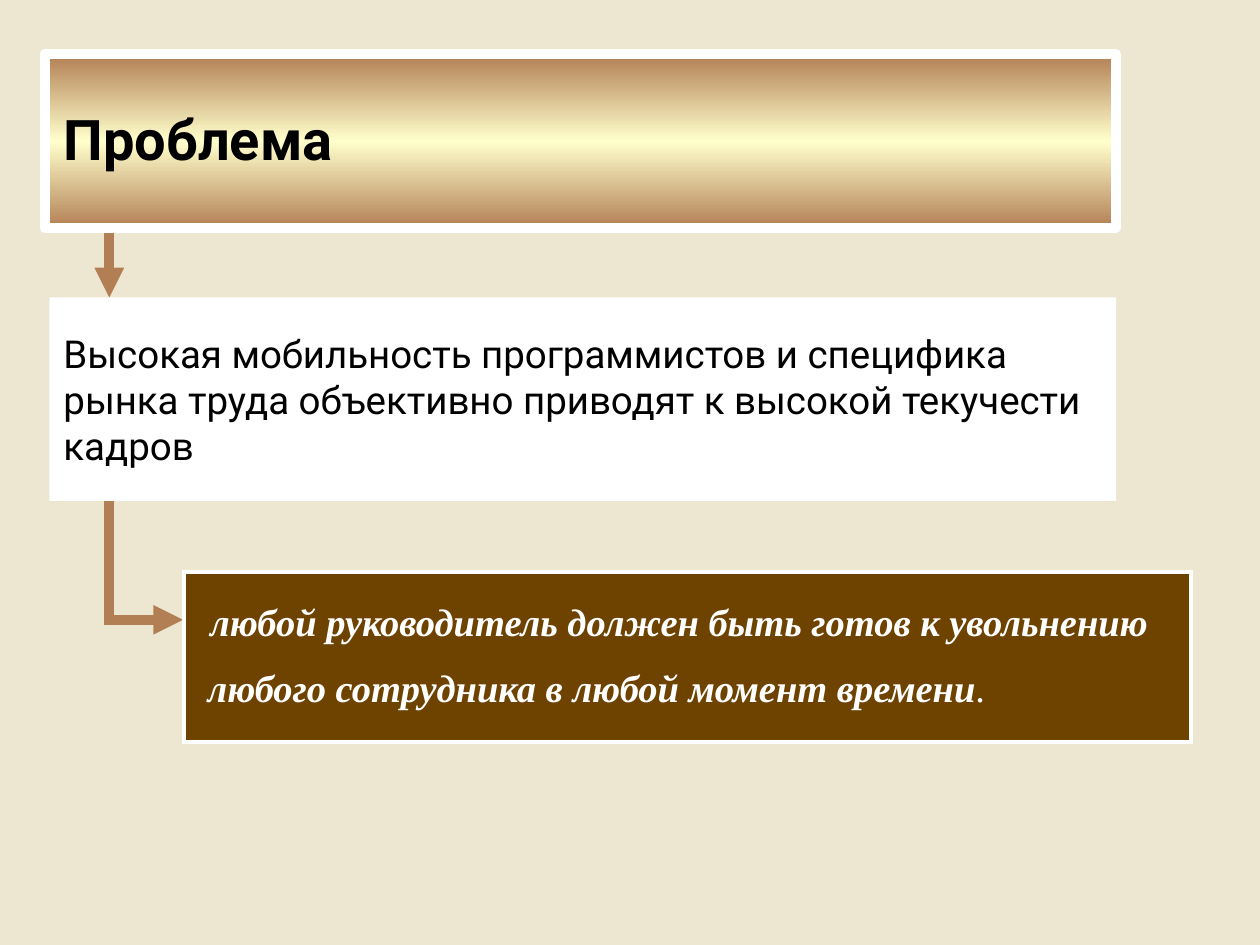
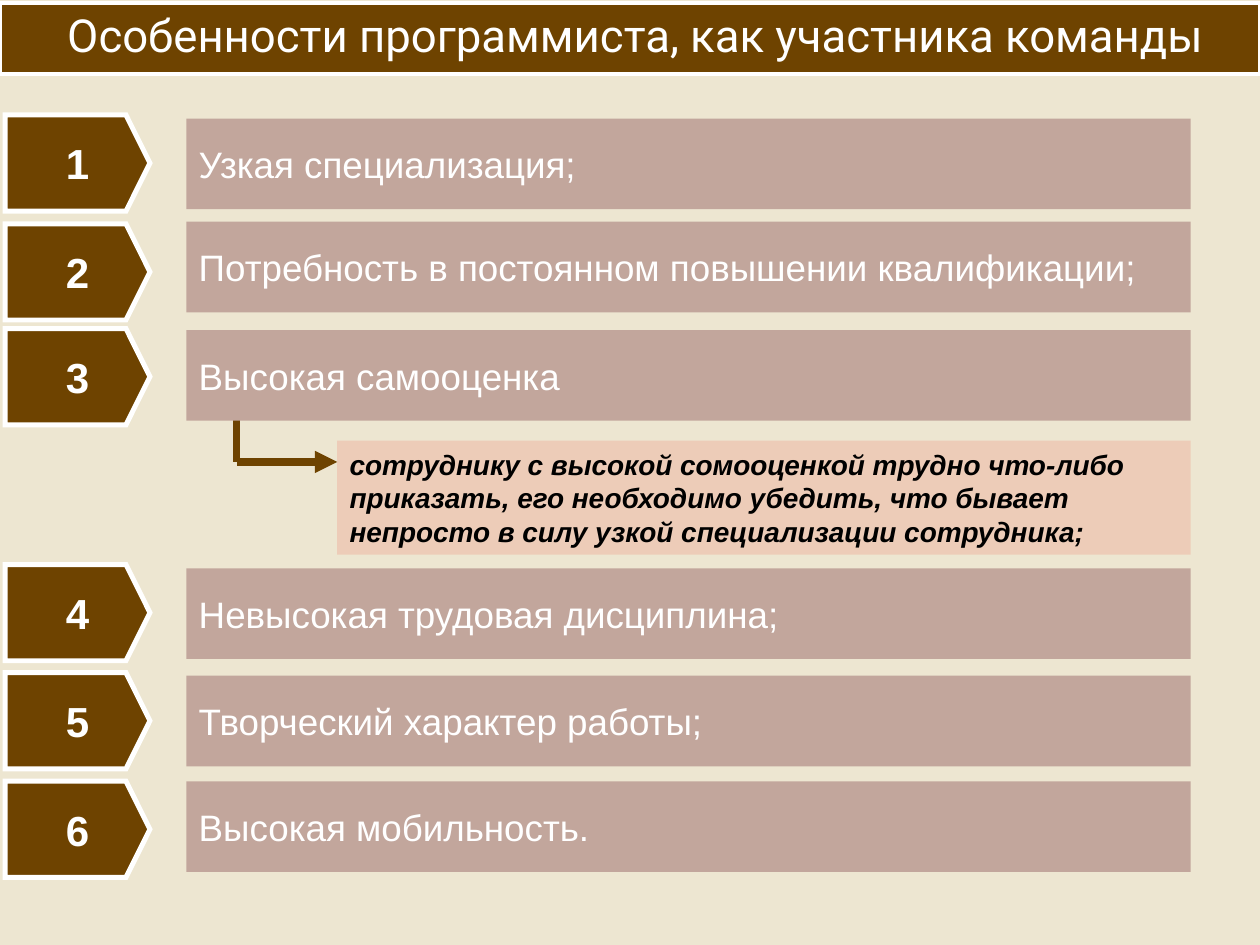
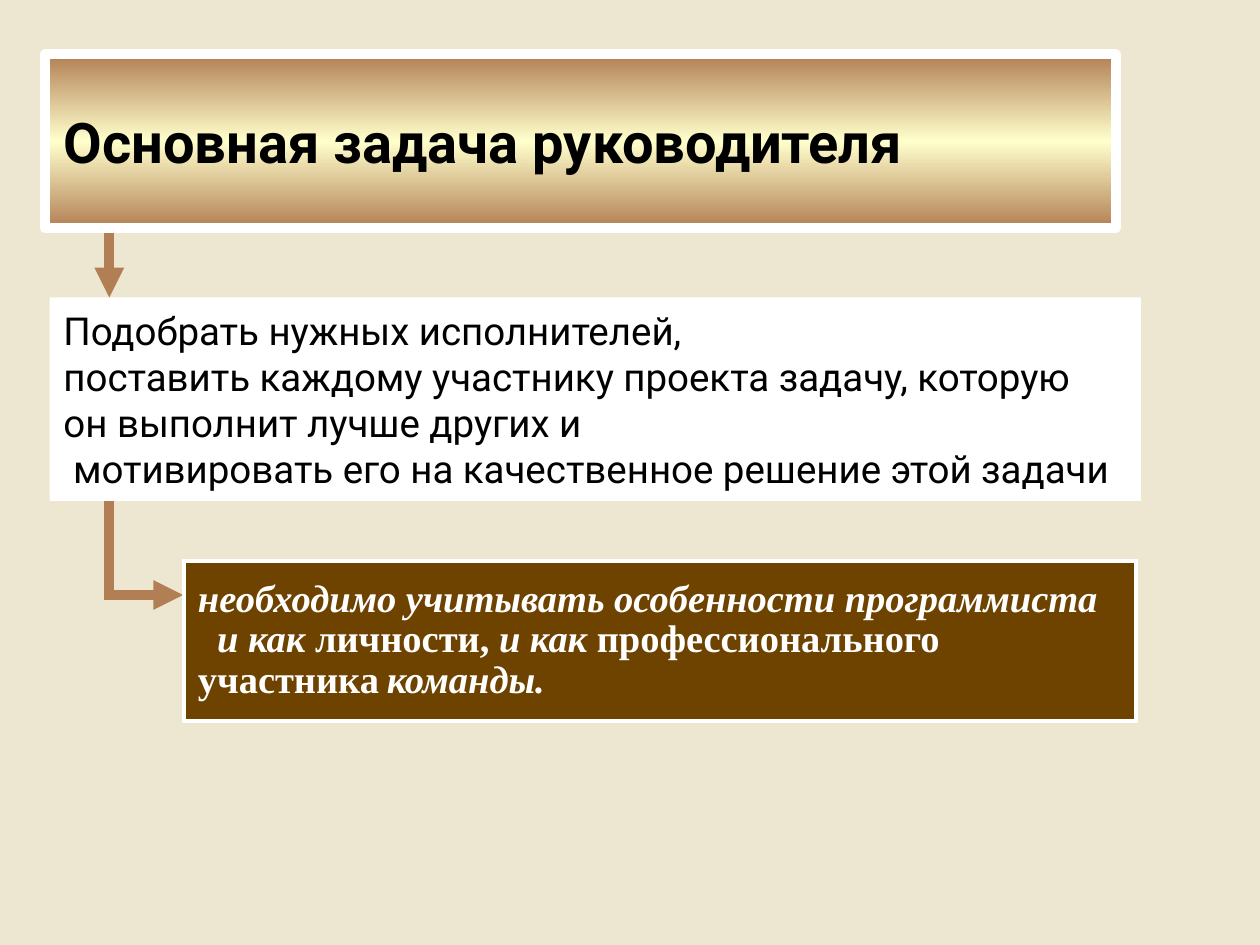
import copy
from dataclasses import dataclass

import lxml.etree
import pptx
import pptx.dml.color
import pptx.enum.shapes
import pptx.enum.text
import pptx.oxml.ns
import pptx.util

Pt = pptx.util.Pt
qn = pptx.oxml.ns.qn
ALIGN = pptx.enum.text.PP_ALIGN


@dataclass(frozen=True)
class Theme:
    page: str = "EDE6D1"
    white: str = "FFFFFF"
    black: str = "000000"
    brown: str = "6E4300"
    copper: str = "B27F54"
    cream: str = "FFFFCC"
    rose: str = "C2A69C"
    peach: str = "EDCCB8"
    sans: str = "Roboto"
    serif: str = "Times New Roman"
    list_font: str = "Arial"
    title_size: float = 32
    band_size: float = 26
    number_size: float = 24
    body_size: float = 22
    feature_size: float = 21
    remark_size: float = 16
    tight: float = 0.87


THEME = Theme()
UPRIGHT = {"italic": False}
PLAIN = {"bold": False, "italic": False}

# number, top of the marker, top of the bar, wording
FEATURES = [
    (1, 65.7, 67.8, "Узкая специализация;"),
    (2, 127.9, 126.7, "Потребность в постоянном повышении квалификации;"),
    (3, 187.8, 188.6, "Высокая самооценка"),
    (4, 322.6, 324.8, "Невысокая трудовая дисциплина;"),
    (5, 384.4, 386.1, "Творческий характер работы;"),
    (6, 446.4, 446.5, "Высокая мобильность."),
]


def rgb(value):
    return pptx.dml.color.RGBColor.from_string(value)


def add_slide(deck):
    slide = deck.slides.add_slide(deck.slide_layouts[6])
    slide.background.fill.solid()
    slide.background.fill.fore_color.rgb = rgb(THEME.page)
    return slide


def style(shape, fill, border=None, border_width=0.0, join="miter"):
    shape.shadow.inherit = False
    shape.fill.solid()
    shape.fill.fore_color.rgb = rgb(fill)
    if border is None:
        shape.line.fill.background()
        return
    shape.line.color.rgb = rgb(border)
    shape.line.width = Pt(border_width)
    outline = shape._element.spPr.find(qn("a:ln"))
    lxml.etree.SubElement(outline, qn(f"a:{join}"))


def add_panel(slide, left, top, width, height, fill, **border_format):
    panel = slide.shapes.add_shape(
        pptx.enum.shapes.MSO_SHAPE.RECTANGLE,
        Pt(left), Pt(top), Pt(width), Pt(height))
    style(panel, fill, **border_format)
    return panel


def write(shape, *paragraphs, font, size, color, bold=False, italic=False,
          align=ALIGN.LEFT, insets=(8, 4, 8, 4), spacing=None, after=0,
          last_after=0, indents=(), tab=None):
    """Fill a shape; a paragraph is a string or a list of (text, format changes)."""
    frame = shape.text_frame
    frame.word_wrap = True
    frame.vertical_anchor = pptx.enum.text.MSO_ANCHOR.MIDDLE
    (frame.margin_left, frame.margin_top,
     frame.margin_right, frame.margin_bottom) = map(Pt, insets)
    for index, content in enumerate(paragraphs):
        paragraph = frame.add_paragraph() if index else frame.paragraphs[0]
        paragraph.alignment = align
        is_last = index == len(paragraphs) - 1
        paragraph.space_after = Pt(last_after if is_last else after)
        if spacing:
            paragraph.line_spacing = spacing
        properties = paragraph._p.get_or_add_pPr()
        if index < len(indents):
            properties.set("indent", str(Pt(indents[index])))
        if tab:
            stops = lxml.etree.SubElement(properties, qn("a:tabLst"))
            lxml.etree.SubElement(stops, qn("a:tab"), pos=str(Pt(tab)), algn="l")
        pieces = [(content, {})] if isinstance(content, str) else content
        for text, changes in pieces:
            run = paragraph.add_run()
            run.text = text
            run.font.name = font
            run.font.size = Pt(size)
            run.font.color.rgb = rgb(color)
            run.font.bold = changes.get("bold", bold)
            run.font.italic = changes.get("italic", italic)


def add_line(slide, start, end, color, width, arrow=False):
    line = slide.shapes.add_connector(
        pptx.enum.shapes.MSO_CONNECTOR.STRAIGHT, *map(Pt, (*start, *end)))
    line.line.color.rgb = rgb(color)
    line.line.width = Pt(width)
    properties = line._element.spPr
    if arrow:
        lxml.etree.SubElement(
            properties.find(qn("a:ln")), qn("a:tailEnd"), type="triangle")
    lxml.etree.SubElement(properties, qn("a:effectLst"))


def add_elbow(slide, x, top, turn, right, color, width, overlap=0):
    """Line down from (x, top), then an arrow to the right at height turn."""
    add_line(slide, (x, top), (x, turn + overlap), color, width)
    add_line(slide, (x, turn), (right, turn), color, width, arrow=True)


def add_title_plate(slide, title, spacing=None):
    plate = add_panel(slide, 25.5, 31, 612, 99.4, THEME.copper,
                      border=THEME.white, border_width=5.67, join="round")
    plate.fill.gradient()
    plate.fill.gradient_angle = 90
    stops = plate._element.spPr.find(".//" + qn("a:gsLst"))
    stops.insert(1, copy.deepcopy(stops[0]))
    colors = (THEME.copper, THEME.cream, THEME.copper)
    for stop, position, color in zip(plate.fill.gradient_stops, (0, 0.5, 1), colors):
        stop.position = position
        stop.color.rgb = rgb(color)
    write(plate, title, font=THEME.sans, size=THEME.title_size, color=THEME.black,
          bold=True, insets=(10.8, 7.2, 10.8, 7.2), spacing=spacing)


def add_argument(slide, title, statement, statement_width, elbow_top,
                 title_spacing=None, **statement_format):
    """Title plate, arrow, white statement and the elbow to the conclusion."""
    add_elbow(slide, 62.5, elbow_top, elbow_top + 67.7, 104.6,
              THEME.copper, 5.67, overlap=2.8)
    panel = add_panel(slide, 28.3, 170, statement_width, 116.3, THEME.white)
    write(panel, *statement, font=THEME.sans, size=THEME.body_size,
          color=THEME.black, **statement_format)
    add_line(slide, (62.5, 127.5), (62.5, 170), THEME.copper, 5.67, arrow=True)
    add_title_plate(slide, title, title_spacing)


def add_conclusion(slide, top, width, height, *paragraphs, **text_format):
    panel = add_panel(slide, 105.1, top, width, height, THEME.brown,
                      border=THEME.white, border_width=2.27)
    write(panel, *paragraphs, font=THEME.serif, size=THEME.body_size,
          color=THEME.white, bold=True, italic=True, spacing=THEME.tight,
          last_after=12.9, **text_format)


def add_marker(slide, number, top):
    left, shoulder, tip, height = 2.9, 72, 85.7, 55
    outline = slide.shapes.build_freeform(Pt(left), Pt(top))
    corners = [(shoulder, top), (tip, top + height / 2),
               (shoulder, top + height), (left, top + height)]
    outline.add_line_segments([(Pt(x), Pt(y)) for x, y in corners], close=True)
    marker = outline.convert_to_shape()
    style(marker, THEME.brown, border=THEME.white, border_width=2.83)
    write(marker, str(number), font=THEME.list_font, size=THEME.number_size,
          color=THEME.white, bold=True, align=ALIGN.CENTER, insets=(5, 5, 5, 5))


def add_feature(slide, number, marker_top, bar_top, wording):
    add_marker(slide, number, marker_top)
    bar = add_panel(slide, 106.5, bar_top, 573.9, 51.8, THEME.rose)
    write(bar, wording, font=THEME.list_font, size=THEME.feature_size,
          color=THEME.white, insets=(7.2, 3.6, 7.2, 3.6))


def build_problem(deck):
    slide = add_slide(deck)
    add_argument(
        slide, "Проблема",
        ["Высокая мобильность программистов и специфика рынка труда "
         "объективно приводят к высокой текучести кадров"],
        statement_width=609.5, elbow_top=286.5, title_spacing=0.93)
    add_conclusion(
        slide, 327, 575.3, 97.2,
        "любой руководитель должен быть готов к увольнению",
        [("любого сотрудника в любой момент времени", {}), (".", PLAIN)],
        indents=(7, 5.5), after=14.5)


def build_features(deck):
    slide = add_slide(deck)
    band = add_panel(slide, 0, 1.6, 720, 40.8, THEME.brown,
                     border=THEME.white, border_width=2.27)
    write(band, "Особенности программиста, как участника команды",
          font=THEME.sans, size=THEME.band_size, color=THEME.white,
          align=ALIGN.CENTER, insets=(15, 4, 8, 4), spacing=THEME.tight,
          last_after=12.9)
    remark = add_panel(slide, 192.7, 251.8, 487.7, 65.2, THEME.peach)
    write(remark,
          "сотруднику с высокой сомооценкой трудно что-либо приказать, "
          "его необходимо убедить, что бывает непросто в силу узкой "
          "специализации сотрудника;",
          font=THEME.list_font, size=THEME.remark_size, color=THEME.black,
          bold=True, italic=True, insets=(7.2, 3.6, 7.2, 3.6))
    add_elbow(slide, 135.3, 239, 264, 192.7, THEME.brown, 4.25)
    for feature in FEATURES:
        add_feature(slide, *feature)


def build_task(deck):
    slide = add_slide(deck)
    add_argument(
        slide, "Основная задача руководителя",
        ["Подобрать нужных исполнителей,",
         "поставить каждому участнику проекта задачу, которую он "
         "выполнит лучше других и",
         "мотивировать его на качественное решение этой задачи"],
        statement_width=623.7, elbow_top=272.3,
        indents=(0, 0, 5.5), insets=(8, 4, 14.4, 4))
    add_conclusion(
        slide, 320.6, 544.1, 91.2,
        "необходимо учитывать особенности программиста",
        [("и как ", {}), ("личности,", UPRIGHT), (" и как ", {}),
         ("профессионального участника", UPRIGHT), ("\tкоманды.", {})],
        indents=(0, 11), tab=131)


def main():
    deck = pptx.Presentation()
    deck.slide_width, deck.slide_height = Pt(720), Pt(540)
    build_problem(deck)
    build_features(deck)
    build_task(deck)
    deck.save("out.pptx")


if __name__ == "__main__":
    main()
